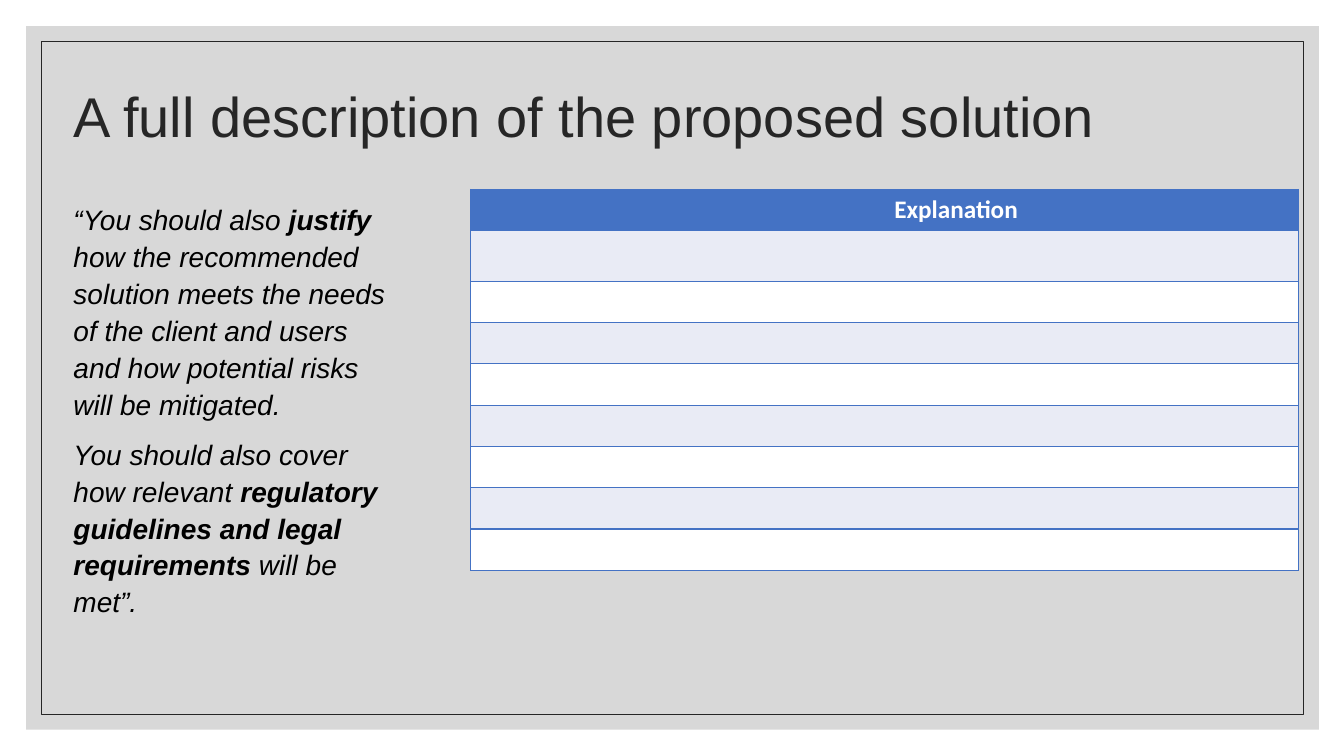
from dataclasses import dataclass

from lxml.etree import SubElement
from pptx import Presentation
from pptx.dml.color import RGBColor
from pptx.enum.shapes import MSO_SHAPE
from pptx.enum.text import MSO_ANCHOR
from pptx.oxml.ns import qn
from pptx.util import Emu, Pt

EMU_PER_PX = 9144
SLIDE_SIZE = (1333, 750)
BLANK_LAYOUT = 6
TITLE = "A full description of the proposed solution"
GUIDANCE = [
    [
        ("“You should also ", False),
        ("justify", True),
        (" how the recommended solution meets the needs of the client and users "
         "and how potential risks will be mitigated.", False),
    ],
    [
        ("You should also cover how relevant ", False),
        ("regulatory guidelines and legal requirements", True),
        (" will be met”.", False),
    ],
]
TABLE_HEADER = ["", "Explanation"]
COLUMN_WIDTHS = [410, 411]
ROW_HEIGHTS = [41, 50] + [41] * 7


@dataclass(frozen=True)
class Theme:
    """Colours, fonts and type sizes of the slide."""

    panel: str = "BFBFBF"
    panel_opacity: int = 60
    frame: str = "262626"
    title: str = "262626"
    body: str = "000000"
    accent: str = "4472C4"
    header_text: str = "FFFFFF"
    bands: tuple = ("E9EBF5", "FFFFFF")
    text_font: str = "Arial"
    table_font: str = "Calibri"
    title_size: int = 40
    body_size: int = 20
    table_size: int = 18


def px(*lengths):
    """Turn pixel lengths into EMU."""
    return [Emu(length * EMU_PER_PX) for length in lengths]


class SlideBuilder:
    """Holds the theme and the current slide and draws each kind of element."""

    def __init__(self, slide, theme):
        """Keep the slide and its theme."""
        self.slide = slide
        self.theme = theme

    def rectangle(self, box, fill=None, opacity=100, line=None):
        """Draw a rectangle with an optional fill and outline."""
        shape = self.slide.shapes.add_shape(MSO_SHAPE.RECTANGLE, *px(*box))
        shape.shadow.inherit = False
        if fill:
            shape.fill.solid()
            shape.fill.fore_color.rgb = RGBColor.from_string(fill)
            color = shape.fill._xPr.find(f"{qn('a:solidFill')}/{qn('a:srgbClr')}")
            SubElement(color, qn("a:alpha"), val=str(opacity * 1000))
        else:
            shape.fill.background()
        if line:
            shape.line.color.rgb = RGBColor.from_string(line)
            shape.line.width = Pt(0.5)
        else:
            shape.line.fill.background()

    def style_font(self, font, name, size, color, bold=False, italic=False):
        """Apply a type style to a font."""
        font.name = name
        font.size = Pt(size)
        font.color.rgb = RGBColor.from_string(color)
        font.bold = bold
        font.italic = italic

    def text(self, box, paragraphs, size, color, spacing, before=0,
             anchor=MSO_ANCHOR.TOP, italic=False):
        """Add a wrapped text box of paragraphs made of (text, bold) parts."""
        text_frame = self.slide.shapes.add_textbox(*px(*box)).text_frame
        text_frame.word_wrap = True
        text_frame.vertical_anchor = anchor
        for index, parts in enumerate(paragraphs):
            paragraph = text_frame.add_paragraph() if index else text_frame.paragraphs[0]
            paragraph.line_spacing = spacing
            paragraph.space_before = Pt(before)
            for words, bold in parts:
                run = paragraph.add_run()
                run.text = words
                self.style_font(run.font, self.theme.text_font, size, color, bold, italic)

    def cell_borders(self, cell, hidden_side):
        """Outline a cell on every side but the hidden one."""
        properties = cell._tc.get_or_add_tcPr()
        for side in ("lnL", "lnR", "lnT", "lnB"):
            border = SubElement(properties, qn(f"a:{side}"), w=str(Pt(1)))
            if side == hidden_side:
                SubElement(border, qn("a:noFill"))
            else:
                fill = SubElement(border, qn("a:solidFill"))
                SubElement(fill, qn("a:srgbClr"), val=self.theme.accent)

    def table(self, left, top, widths, heights, header):
        """Add a two-column table with a header row and banded empty rows."""
        theme = self.theme
        box = px(left, top, sum(widths), sum(heights))
        table = self.slide.shapes.add_table(len(heights), len(widths), *box).table
        for column, width in zip(table.columns, px(*widths)):
            column.width = width
        for row_index, (row, height) in enumerate(zip(table.rows, px(*heights))):
            row.height = height
            color = theme.bands[(row_index - 1) % 2] if row_index else theme.accent
            for cell, inner_side in zip(row.cells, ("lnR", "lnL")):
                self.cell_borders(cell, inner_side)
                cell.fill.solid()
                cell.fill.fore_color.rgb = RGBColor.from_string(color)
                self.style_font(cell.text_frame.paragraphs[0].font, theme.table_font,
                                theme.table_size, theme.body)
        for cell, label in zip(table.rows[0].cells, header):
            cell.text_frame.text = label
            for run in cell.text_frame.paragraphs[0].runs:
                self.style_font(run.font, theme.table_font, theme.table_size,
                                theme.header_text, bold=True)


def main():
    """Build the slide and save it."""
    presentation = Presentation()
    presentation.slide_width, presentation.slide_height = px(*SLIDE_SIZE)
    slide = presentation.slides.add_slide(presentation.slide_layouts[BLANK_LAYOUT])
    theme = Theme()
    builder = SlideBuilder(slide, theme)
    builder.rectangle((26, 26, 1282, 698), fill=theme.panel, opacity=theme.panel_opacity)
    builder.rectangle((41, 41, 1252, 668), line=theme.frame)
    builder.text((63, 43, 1198, 150), [[(TITLE, False)]], theme.title_size,
                 theme.title, spacing=0.9, anchor=MSO_ANCHOR.MIDDLE)
    builder.text((63, 193, 342, 503), GUIDANCE, theme.body_size, theme.body,
                 spacing=1.1, before=9, italic=True)
    builder.table(467, 188, COLUMN_WIDTHS, ROW_HEIGHTS, TABLE_HEADER)
    presentation.save("out.pptx")


if __name__ == "__main__":
    main()
